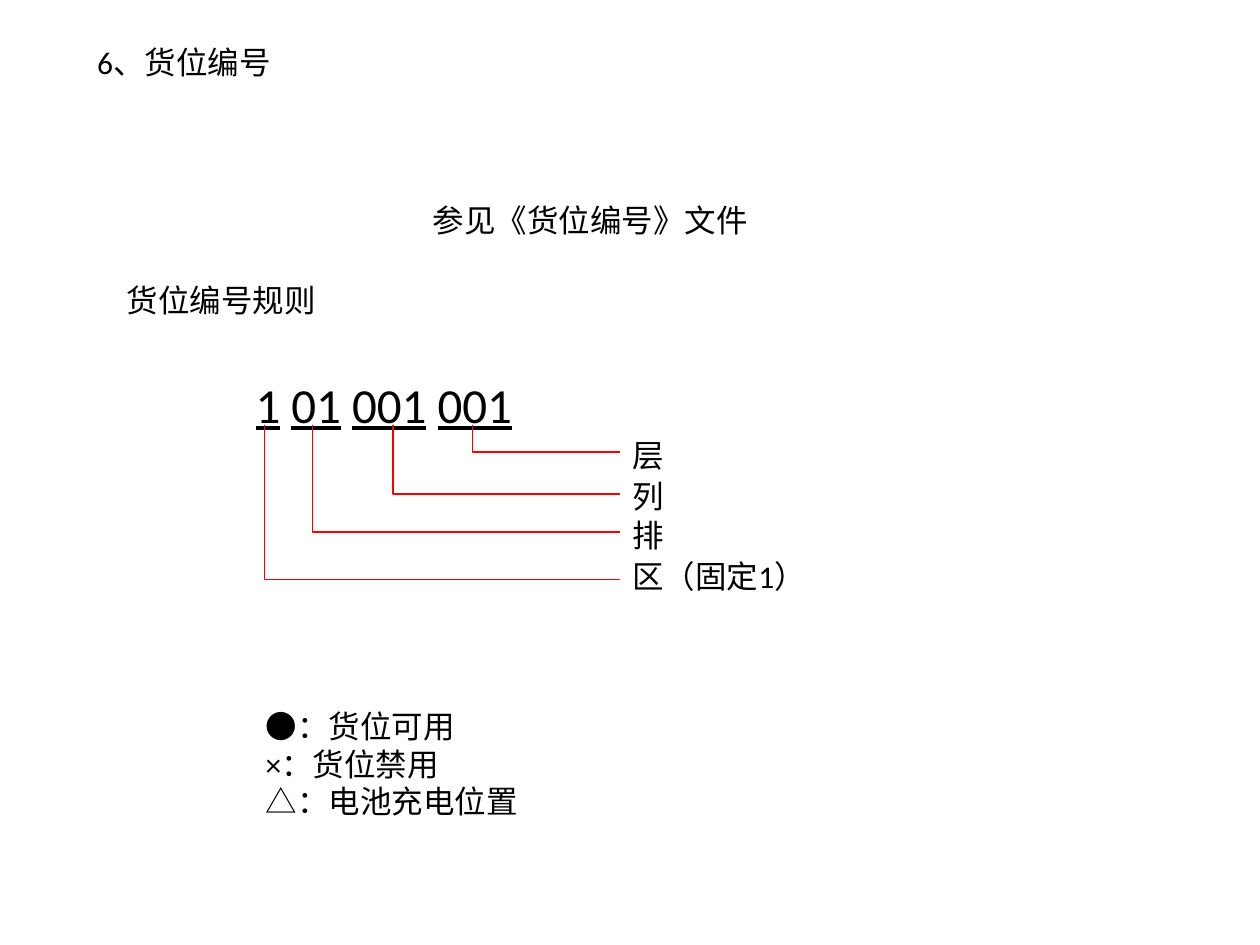
from pptx import Presentation
from pptx.dml.color import RGBColor
from pptx.enum.text import MSO_ANCHOR, MSO_AUTO_SIZE, PP_ALIGN
from pptx.util import Inches, Pt

LEFT, CENTER = PP_ALIGN.LEFT, PP_ALIGN.CENTER
TOP = MSO_ANCHOR.TOP
GROW = MSO_AUTO_SIZE.SHAPE_TO_FIT_TEXT
TITLE_ONLY = 5


def color(hex_text):
    return RGBColor.from_string(hex_text)


def write(shape, lines, size=18, font="Calibri", ink="000000", align=LEFT):
    """Fill a shape; each line is a list of (text, underlined) runs."""
    frame = shape.text_frame
    frame.word_wrap = True
    frame.auto_size = GROW
    frame.vertical_anchor = TOP
    for i, runs in enumerate(lines):
        para = frame.add_paragraph() if i else frame.paragraphs[0]
        para.alignment = align
        for text, under in runs:
            run = para.add_run()
            run.text = text
            run.font.size = Pt(size)
            run.font.name = font
            run.font.color.rgb = color(ink)
            run.font.underline = under


def plain(*lines):
    return [[(line, False)] for line in lines]


class Page:
    red = "FF0000"
    width = 1

    def __init__(self, deck):
        self.slide = deck.slides.add_slide(deck.slide_layouts[TITLE_ONLY])

    def title(self, text, box):
        shape = self.slide.shapes.title
        shape.left, shape.top, shape.width, shape.height = map(Inches, box)
        write(shape, plain(text))

    def text(self, lines, box, **style):
        shape = self.slide.shapes.add_textbox(*map(Inches, box))
        write(shape, lines, **style)

    def elbow(self, x, top, end, y):
        """Draw a line down from (x, top), then right to (end, y)."""
        path = self.slide.shapes.build_freeform(Inches(x), Inches(top))
        path.add_line_segments(
            [(Inches(x), Inches(y)), (Inches(end), Inches(y))], close=False)
        shape = path.convert_to_shape()
        shape.shadow.inherit = False
        shape.fill.background()
        shape.line.color.rgb = color(self.red)
        shape.line.width = Pt(self.width)


def main():
    deck = Presentation()
    deck.slide_width, deck.slide_height = Inches(10), Inches(7.5)
    page = Page(deck)

    # Headings
    page.title("6、货位编号", (0.67, 0.29, 8.43, 0.4))
    page.text(plain("参见《货位编号》文件"), (2.48, 1.55, 4.41, 0.4),
              align=CENTER)
    page.text(plain("货位编号规则"), (0.91, 2.18, 6.14, 0.4))

    # Sample code, with each part underlined
    code = []
    for part in ("1", "01", "001", "001"):
        if code:
            code.append((" ", False))
        code.append((part, True))
    page.text([code], (1.93, 2.92, 3.31, 0.57), size=28)

    # Parts of the code: label, its top and width, line x and line y
    edge = 4.92
    parts = [
        ("层", 3.41, 4.57, 3.75, 3.59),
        ("列", 3.74, 1.65, 3.12, 3.92),
        ("排", 4.05, 1.65, 2.48, 4.22),
        ("区（固定1）", 4.37, 4.41, 2.1, 4.6),
    ]
    for label, top, width, x, y in parts:
        page.text(plain(label), (edge, top, width, 0.4))
        page.elbow(x, 3.37, edge, y)

    # Legend
    page.text(plain("●：货位可用", "×：货位禁用", "△：电池充电位置"),
              (2.01, 5.56, 5.12, 1.01))

    deck.save("out.pptx")


if __name__ == "__main__":
    main()
